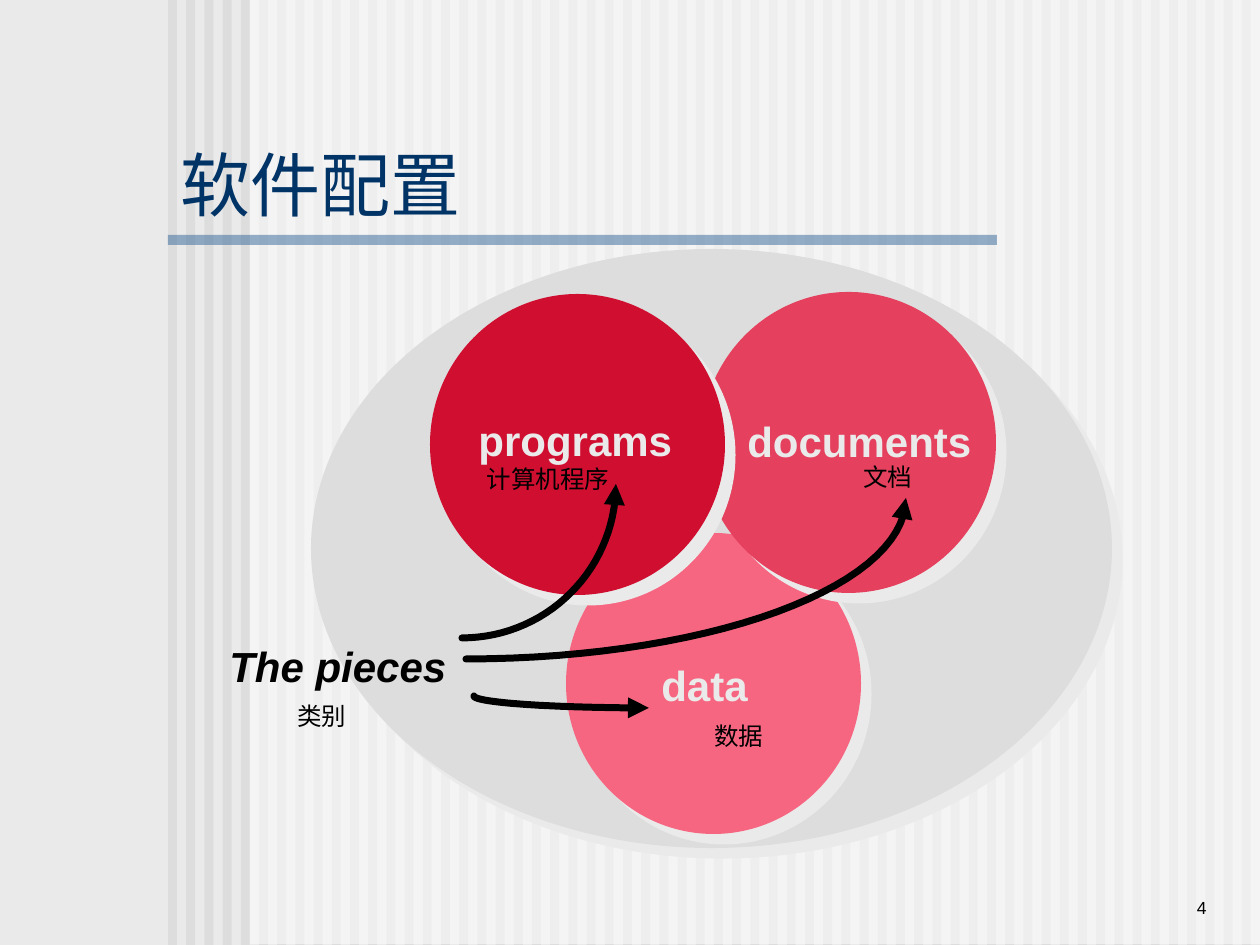
from collections import namedtuple
from math import cos, radians, sin

from lxml.etree import SubElement
from pptx import Presentation
from pptx.dml.color import RGBColor
from pptx.enum.shapes import MSO_SHAPE as Shape
from pptx.enum.text import MSO_ANCHOR as Anchor, MSO_AUTO_SIZE as AutoSize, PP_ALIGN as Align
from pptx.oxml.ns import qn
from pptx.util import Emu, Pt

EMU_PER_PX = 914400 / 126
FONT = "Arial"

PAPER = RGBColor(0xEA, 0xEA, 0xEA)
GREY = RGBColor(0xDD, 0xDD, 0xDD)
WHITE = RGBColor(0xFF, 0xFF, 0xFF)
BLACK = RGBColor(0, 0, 0)
NAVY = RGBColor(0x00, 0x33, 0x66)
BLUE = RGBColor(0x33, 0x66, 0x99)
CRIMSON = RGBColor(0xCF, 0x0E, 0x30)
ROSE = RGBColor(0xE5, 0x40, 0x5D)
PINK = RGBColor(0xF7, 0x66, 0x81)

Box = namedtuple("Box", "left top width height")


def px(length):
    return Emu(round(length * EMU_PER_PX))


def within(box, left, top, width, height):
    """Turn a position relative to box into one on the slide."""
    return Box(box.left + left, box.top + top, width, height)


def add_solid(slide, kind, box, colour, opacity=100):
    solid = slide.shapes.add_shape(kind, *map(px, box))
    solid.shadow.inherit = False
    solid.fill.solid()
    solid.fill.fore_color.rgb = colour
    solid.line.fill.background()
    if opacity < 100:
        srgb = solid.element.spPr.find(qn("a:solidFill")).find(qn("a:srgbClr"))
        SubElement(srgb, qn("a:alpha"), val=str(opacity * 1000))
    return solid


def add_shadowed_ellipse(slide, box, colour):
    ellipse = add_solid(slide, Shape.OVAL, box, colour)
    effects = ellipse.element.spPr.find(qn("a:effectLst"))
    shadow = SubElement(effects, qn("a:outerShdw"), dist=str(Pt(8.5)),
                        dir="2700000", algn="ctr", rotWithShape="0")
    SubElement(shadow, qn("a:srgbClr"), val=str(PAPER))


def add_text(slide, box, text, size, colour, align=Align.LEFT, anchor=Anchor.TOP,
             bold=False, italic=False, wrap=True, inset=True, grow=False):
    holder = slide.shapes.add_textbox(*map(px, box))
    frame = holder.text_frame
    frame.word_wrap = wrap
    frame.vertical_anchor = anchor
    frame.auto_size = AutoSize.SHAPE_TO_FIT_TEXT if grow else AutoSize.NONE
    if not inset:
        frame.margin_left = frame.margin_right = 0
        frame.margin_top = frame.margin_bottom = 0
    paragraph = frame.paragraphs[0]
    paragraph.text = text
    paragraph.alignment = align
    font = paragraph.font
    font.name, font.size, font.bold, font.italic = FONT, Pt(size), bold, italic
    font.color.rgb = colour


def add_label(slide, box, text, colour, italic=False):
    add_text(slide, box, text, 24, colour, bold=True, italic=italic, wrap=False, grow=True)


def add_translation(slide, box, text):
    add_text(slide, box, text, 14, BLACK, Align.CENTER, inset=False, grow=True)


def add_arc_arrow(slide, centre_x, centre_y, radius_x, radius_y, tip_angle):
    """Draw a quarter ellipse whose arrowhead sits at tip_angle, in degrees."""
    steps = 30
    angles = [radians(tip_angle + 90 * step / steps) for step in range(steps + 1)]
    points = [(px(centre_x + radius_x * cos(angle)), px(centre_y + radius_y * sin(angle)))
              for angle in angles]
    builder = slide.shapes.build_freeform(*points[0])
    builder.add_line_segments(points[1:], close=False)
    arrow = builder.convert_to_shape()
    arrow.shadow.inherit = False
    arrow.fill.background()
    arrow.line.color.rgb = BLACK
    arrow.line.width = Pt(4)
    line = arrow.element.spPr.find(qn("a:ln"))
    line.set("cap", "rnd")
    SubElement(line, qn("a:round"))
    SubElement(line, qn("a:headEnd"), type="triangle")


def add_backdrop(slide, box):
    slide.background.fill.solid()
    slide.background.fill.fore_color.rgb = PAPER
    # Sixty even stripes, softened by a translucent panel
    for stripe in range(60):
        add_solid(slide, Shape.RECTANGLE, within(box, stripe * 18.2, 0, 9, box.height), GREY)
    veil_left = 82
    add_solid(slide, Shape.RECTANGLE,
              within(box, veil_left, -1, box.width - veil_left, box.height), WHITE, 50)


def add_heading(slide, box):
    add_solid(slide, Shape.RECTANGLE, within(box, 0, 88, 829, 10), BLUE, 50)
    add_text(slide, within(box, 0, 0, box.width, 74), "软件配置", 40, NAVY, anchor=Anchor.MIDDLE)


def add_page_number(slide, box):
    add_text(slide, box, "4", 10, BLACK, Align.RIGHT, Anchor.BOTTOM)


def add_configuration(slide, box):
    # Enclosing ellipse and the three overlapping circles, back to front
    add_shadowed_ellipse(slide, within(box, 94, 0, 801, 599), GREY)
    for left, top, colour in ((349, 284, PINK), (484, 43, ROSE), (213, 45, CRIMSON)):
        add_shadowed_ellipse(slide, within(box, left, top, 295, 301), colour)

    # Names
    for left, top, width, name in ((249, 159, 219, "programs"),
                                   (518, 160, 249, "documents"),
                                   (432, 404, 116, "data")):
        add_label(slide, within(box, left, top, width, 63), name, PAPER)
    add_label(slide, within(box, 0, 385, 242, 63), "The pieces", BLACK, italic=True)

    # Arrows to data, documents and programs
    for x, y, radius_x, radius_y, tip_angle in ((432, 447, 175, 12, 90),
                                                (249, 249, 440, 161, 0),
                                                (245, 235, 154, 154, 0)):
        add_arc_arrow(slide, box.left + x, box.top + y, radius_x, radius_y, tip_angle)

    # Chinese names
    for left, top, name in ((572, 213, "文档"), (423, 472, "数据"),
                            (232, 215, "计算机程序"), (6, 452, "类别")):
        add_translation(slide, within(box, left, top, 198, 29), name)


def main():
    deck = Presentation()
    deck.slide_width, deck.slide_height = px(1260), px(945)
    slide = deck.slides.add_slide(deck.slide_layouts[6])
    add_backdrop(slide, Box(168, 0, 1092, 945))
    add_heading(slide, Box(168, 147, 949, 98))
    add_page_number(slide, Box(1040, 861, 179, 63))
    add_configuration(slide, Box(217, 249, 895, 599))
    deck.save("out.pptx")


if __name__ == "__main__":
    main()
